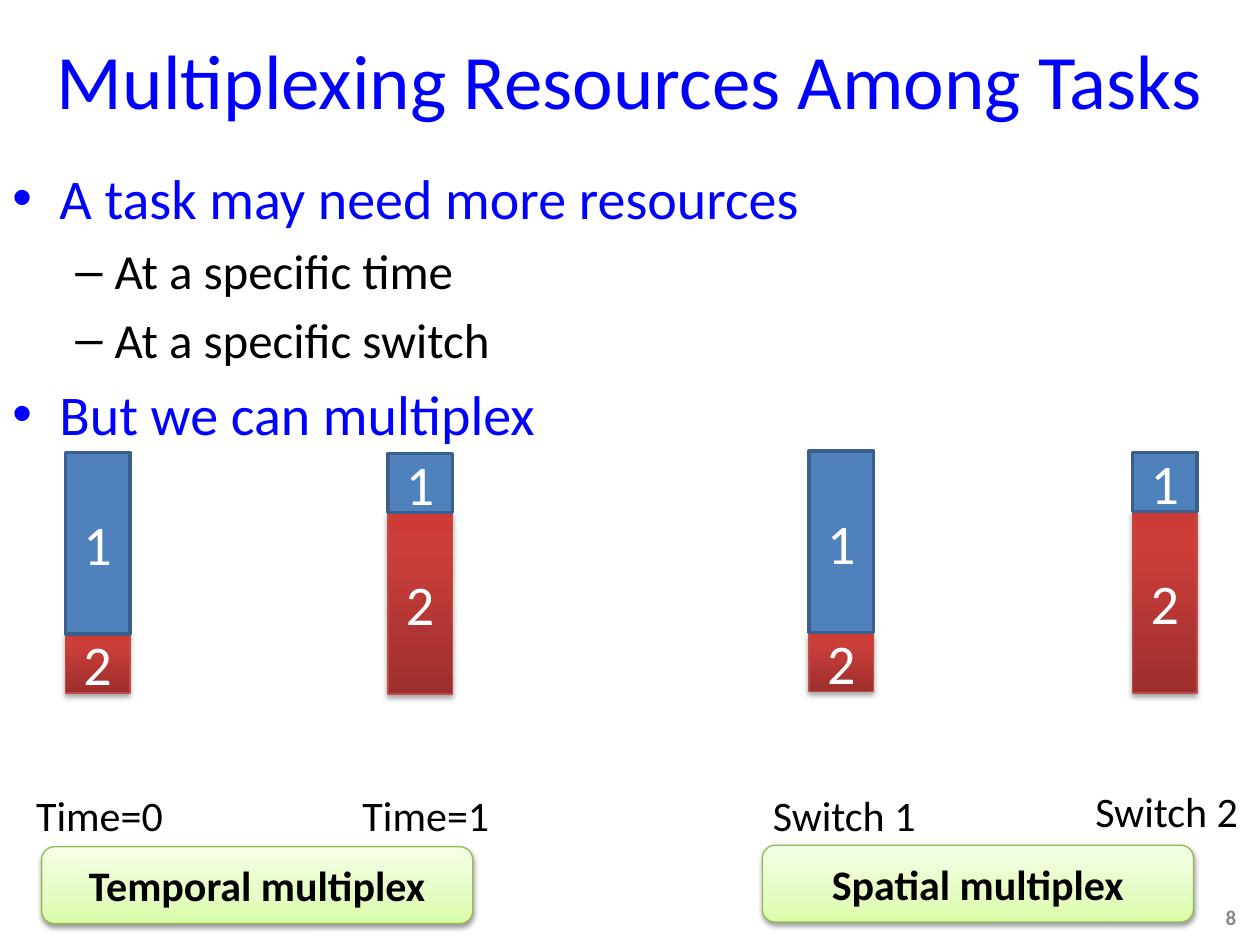
import pptx
import pptx.dml.color
import pptx.enum.shapes
import pptx.enum.text
import pptx.oxml
import pptx.oxml.ns
import pptx.util

Cm, Pt = pptx.util.Cm, pptx.util.Pt
RGB = pptx.dml.color.RGBColor
Kind = pptx.enum.shapes.MSO_SHAPE
Align = pptx.enum.text.PP_ALIGN
Anchor = pptx.enum.text.MSO_ANCHOR
Fit = pptx.enum.text.MSO_AUTO_SIZE
NS = pptx.oxml.ns.nsdecls("a")

BLUE = RGB(0x00, 0x00, 0xFF)
BLACK = RGB(0x00, 0x00, 0x00)
WHITE = RGB(0xFF, 0xFF, 0xFF)
GRAY = RGB(0x89, 0x89, 0x89)
STEEL = RGB(0x4F, 0x81, 0xBD)
NAVY = RGB(0x3A, 0x5F, 0x8C)
ROSE = RGB(0xBF, 0x4C, 0x48)
MOSS = RGB(0x98, 0xB9, 0x55)
# Gradient stops, from bottom to top
REDS = [(0, RGB(0x9C, 0x2F, 0x2D)), (80, RGB(0xCB, 0x3E, 0x3A)),
        (100, RGB(0xCE, 0x3B, 0x37))]
LIMES = [(0, RGB(0xDA, 0xFD, 0xA7)), (35, RGB(0xE4, 0xFC, 0xC2)),
         (100, RGB(0xF5, 0xFF, 0xE7))]


def write(para, text, size=24, color=BLACK, bold=False, align=Align.CENTER):
    """Add one formatted run to a paragraph."""
    para.alignment = align
    run = para.add_run()
    run.text = text
    font = run.font
    font.name, font.size, font.bold = "Calibri", Pt(size), bold
    font.color.rgb = color


class Deck:
    def __init__(self):
        self.prs = pptx.Presentation()
        self.prs.slide_width, self.prs.slide_height = Cm(25.4), Cm(19.05)
        self.slide = self.prs.slides.add_slide(self.prs.slide_layouts[5])

    def title(self, text):
        box = self.slide.shapes.title
        box.left, box.top, box.width, box.height = Cm(0), Cm(0), Cm(25.4), Cm(3.18)
        box.text_frame.vertical_anchor = Anchor.MIDDLE
        write(box.text_frame.paragraphs[0], text, size=44, color=BLUE)

    def frame(self, x, y, w, h):
        box = self.slide.shapes.add_textbox(Cm(x), Cm(y), Cm(w), Cm(h))
        box.text_frame.word_wrap = True
        return box.text_frame

    def bullets(self, items, x, y, w, h):
        frame = self.frame(x, y, w, h)
        styles = [("•", 0.95, 0.95, 32, BLUE), ("–", 2.06, 0.79, 28, BLACK)]
        for i, (level, text) in enumerate(items):
            mark, left, hang, size, color = styles[level]
            para = frame.add_paragraph() if i else frame.paragraphs[0]
            para.level = level
            if i:
                para.space_before = Pt(size * 0.2)
            props = para._p.get_or_add_pPr()
            props.set("marL", str(Cm(left)))
            props.set("indent", str(-Cm(hang)))
            for tag in ('buFont typeface="Arial"', f'buChar char="{mark}"'):
                props.append(pptx.oxml.parse_xml(f"<a:{tag} {NS}/>"))
            write(para, text, size=size, color=color, align=Align.LEFT)

    def note(self, text, x, y, w):
        frame = self.frame(x, y, w, 1.27)
        frame.auto_size = Fit.SHAPE_TO_FIT_TEXT
        write(frame.paragraphs[0], text)

    def number(self, text, x, y, w, h):
        frame = self.frame(x, y, w, h)
        frame.vertical_anchor = Anchor.MIDDLE
        write(frame.paragraphs[0], text, size=12, color=GRAY, bold=True,
              align=Align.RIGHT)

    def block(self, kind, x, y, w, h, fill, line, weight, text, **style):
        shape = self.slide.shapes.add_shape(kind, Cm(x), Cm(y), Cm(w), Cm(h))
        shape.shadow.inherit = False
        shape.line.color.rgb, shape.line.width = line, Pt(weight)
        if isinstance(fill, list):
            self.blend(shape, fill)
        else:
            shape.fill.solid()
            shape.fill.fore_color.rgb = fill
        frame = shape.text_frame
        frame.vertical_anchor = Anchor.MIDDLE
        write(frame.paragraphs[0], text, **style)
        return shape

    def blend(self, shape, stops):
        shape.fill.gradient()
        shape.fill.gradient_angle = 90
        group = shape._element.spPr.find(".//" + pptx.oxml.ns.qn("a:gsLst"))
        for old in list(group):
            group.remove(old)
        for pos, color in stops:
            group.append(pptx.oxml.parse_xml(
                f'<a:gs {NS} pos="{pos * 1000}"><a:srgbClr val="{color}"/></a:gs>'))

    def shade(self, shape, alpha, dist):
        effects = shape._element.spPr.find(pptx.oxml.ns.qn("a:effectLst"))
        effects.append(pptx.oxml.parse_xml(
            f'<a:outerShdw {NS} blurRad="{Pt(3.1)}" dist="{Pt(dist)}" '
            'dir="5400000" rotWithShape="0"><a:srgbClr val="000000">'
            f'<a:alpha val="{alpha * 1000}"/></a:srgbClr></a:outerShdw>'))

    def stack(self, x, y, first):
        """Bar split between task 1 on top and task 2 below."""
        w, full = 1.3, 4.85
        style = dict(size=32, color=WHITE)
        low = self.block(Kind.RECTANGLE, x, y + first, w, full - first,
                         REDS, ROSE, 0.75, "2", **style)
        self.shade(low, 35, 1.8)
        self.block(Kind.RECTANGLE, x, y, w, first, STEEL, NAVY, 2, "1", **style)

    def label(self, text, x, y):
        shape = self.block(Kind.ROUNDED_RECTANGLE, x, y, 8.69, 1.55,
                           LIMES, MOSS, 0.75, text, bold=True)
        self.shade(shape, 38, 1.6)


def main():
    deck = Deck()
    deck.title("Multiplexing Resources Among Tasks")
    deck.bullets([(0, "A task may need more resources"),
                  (1, "At a specific time"),
                  (1, "At a specific switch"),
                  (0, "But we can multiplex")], 0, 3.18, 25.2, 15.87)
    deck.number("8", 19.25, 17.98, 5.92, 1.02)

    # Captions under the bars
    for text, x, y, w in [("Time=0", 0.2, 15.8, 3.61),
                          ("Time=1", 6.78, 15.8, 3.61),
                          ("Switch 1", 14.81, 15.8, 4.42),
                          ("Switch 2", 21.31, 15.72, 4.42)]:
        deck.note(text, x, y, w)

    # Kinds of multiplexing
    deck.label("Temporal multiplex", 0.84, 17.07)
    deck.label("Spatial multiplex", 15.37, 17.04)

    # Resource bars
    tall, short = 3.66, 1.19
    for x, y, first in [(16.31, 9.09, tall), (22.83, 9.12, short),
                        (1.32, 9.12, tall), (7.82, 9.14, short)]:
        deck.stack(x, y, first)

    deck.prs.save("out.pptx")


if __name__ == "__main__":
    main()
